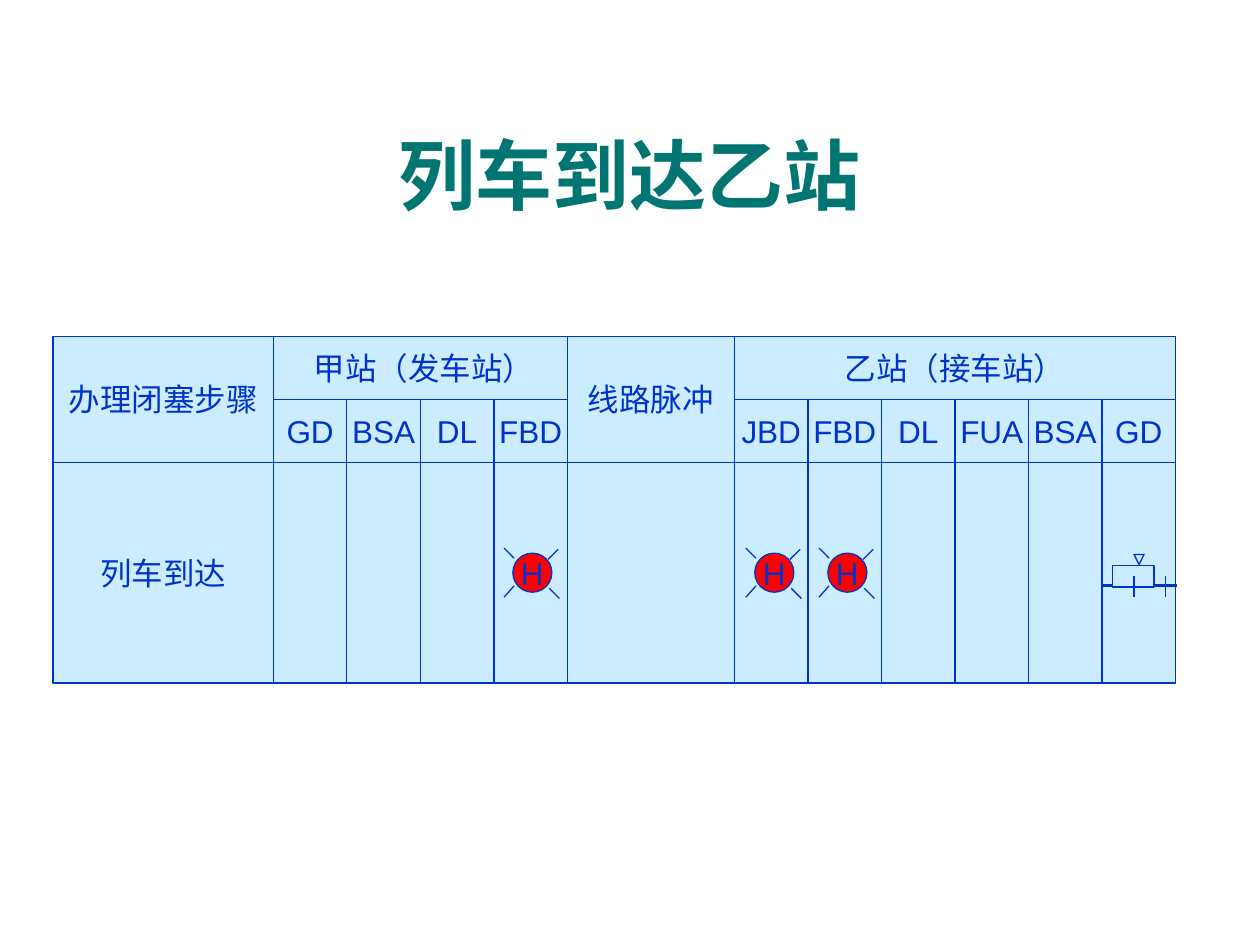
from lxml import etree
from pptx import Presentation
from pptx.dml.color import RGBColor
from pptx.enum import shapes, text
from pptx.oxml.ns import qn
from pptx.util import Inches, Pt

COLORS = {"title": "007572", "ink": "0033CC", "cell": "CCECFF", "lamp": "FF0000"}
RGB = {name: RGBColor.from_string(value) for name, value in COLORS.items()}
SHAPE = shapes.MSO_SHAPE


def add_box(parent, x, y, w, h, label="", kind=SHAPE.RECTANGLE, fill="cell"):
    """Add an outlined shape, with a centred label if one is given."""
    sp = parent.add_shape(kind, Inches(x), Inches(y), Inches(w), Inches(h))
    sp.shadow.inherit = False
    sp.fill.solid()
    sp.fill.fore_color.rgb = RGB[fill]
    sp.line.color.rgb = RGB["ink"]
    sp.line.width = Pt(0.75)
    if label:
        tf = sp.text_frame
        tf.word_wrap = False
        tf.vertical_anchor = text.MSO_ANCHOR.MIDDLE
        p = tf.paragraphs[0]
        p.text = label
        p.alignment = text.PP_ALIGN.CENTER
        p.font.name = "Arial"
        p.font.size = Pt(18)
        p.font.color.rgb = RGB["ink"]
    return sp


def add_line(parent, x1, y1, x2, y2, width=0.75):
    line = parent.add_connector(shapes.MSO_CONNECTOR.STRAIGHT,
                                Inches(x1), Inches(y1), Inches(x2), Inches(y2))
    line.line.color.rgb = RGB["ink"]
    line.line.width = Pt(width)
    etree.SubElement(line._element.spPr, qn("a:effectLst"))


prs = Presentation()
prs.slide_width, prs.slide_height = Inches(10), Inches(7.5)
s = prs.slides.add_slide(prs.slide_layouts[6])

# Title
title = s.shapes.add_textbox(Inches(0.33), Inches(0.75), Inches(9.34), Inches(1.25))
tf = title.text_frame
tf.word_wrap = True
tf.vertical_anchor = text.MSO_ANCHOR.MIDDLE
p = tf.paragraphs[0]
p.text = "列车到达乙站"
p.alignment = text.PP_ALIGN.CENTER
p.font.name = "Arial"
p.font.size = Pt(44)
p.font.bold = True
p.font.color.rgb = RGB["title"]

# Grid of steps and indicators
TOP, HEAD, BODY = 2.67, 0.5, 1.75
COL = 7 / 12
STEP_X, STEP_W = 0.42, 3 * COL
PULSE_X, PULSE_W = 4.5, 1.33
BODY_Y = TOP + 2 * HEAD
stations = [
    (2.17, " 甲站（发车站）", ["GD", "BSA", "DL", "FBD"]),
    (5.83, "乙站（接车站）", ["JBD", "FBD", "DL", "FUA", "BSA", "GD"]),
]

add_box(s.shapes, STEP_X, TOP, STEP_W, 2 * HEAD, "办理闭塞步骤")
add_box(s.shapes, STEP_X, BODY_Y, STEP_W, BODY, "列车到达")
add_box(s.shapes, PULSE_X, TOP, PULSE_W, 2 * HEAD, "线路脉冲")
add_box(s.shapes, PULSE_X, BODY_Y, PULSE_W, BODY)
for left, station, indicators in stations:
    add_box(s.shapes, left, TOP, len(indicators) * COL, HEAD, station)
    for i, name in enumerate(indicators):
        x = left + i * COL
        add_box(s.shapes, x, BODY_Y, COL, BODY)
        add_box(s.shapes, x, TOP + HEAD, COL, HEAD, name)

# Lit red lamps with four rays each
LAMP_Y = 4.39
rays = [(-0.07, -0.04, 0.01, 0.04), (0.01, 0.26, -0.07, 0.35),
        (0.28, 0.05, 0.36, -0.03), (0.29, 0.28, 0.37, 0.36)]
for x in (4.07, 5.99, 6.57):
    lamp = s.shapes.add_group_shape().shapes
    add_box(lamp, x, LAMP_Y, 0.31, 0.31, "H", SHAPE.OVAL, "lamp")
    for x1, y1, x2, y2 in rays:
        add_line(lamp, x + x1, LAMP_Y + y1, x + x2, LAMP_Y + y2)

# Track relay symbol in the last column
relay = s.shapes.add_group_shape().shapes
add_line(relay, 8.75, 4.65, 9.34, 4.65, 1.75)
add_box(relay, 8.83, 4.49, 0.33, 0.17)
for x in (9, 9.25):
    add_line(relay, x, 4.57, x, 4.74)
marker = add_box(relay, 9, 4.4, 0.08, 0.08, kind=SHAPE.ISOSCELES_TRIANGLE)
marker.rotation = 180

prs.save("out.pptx")
